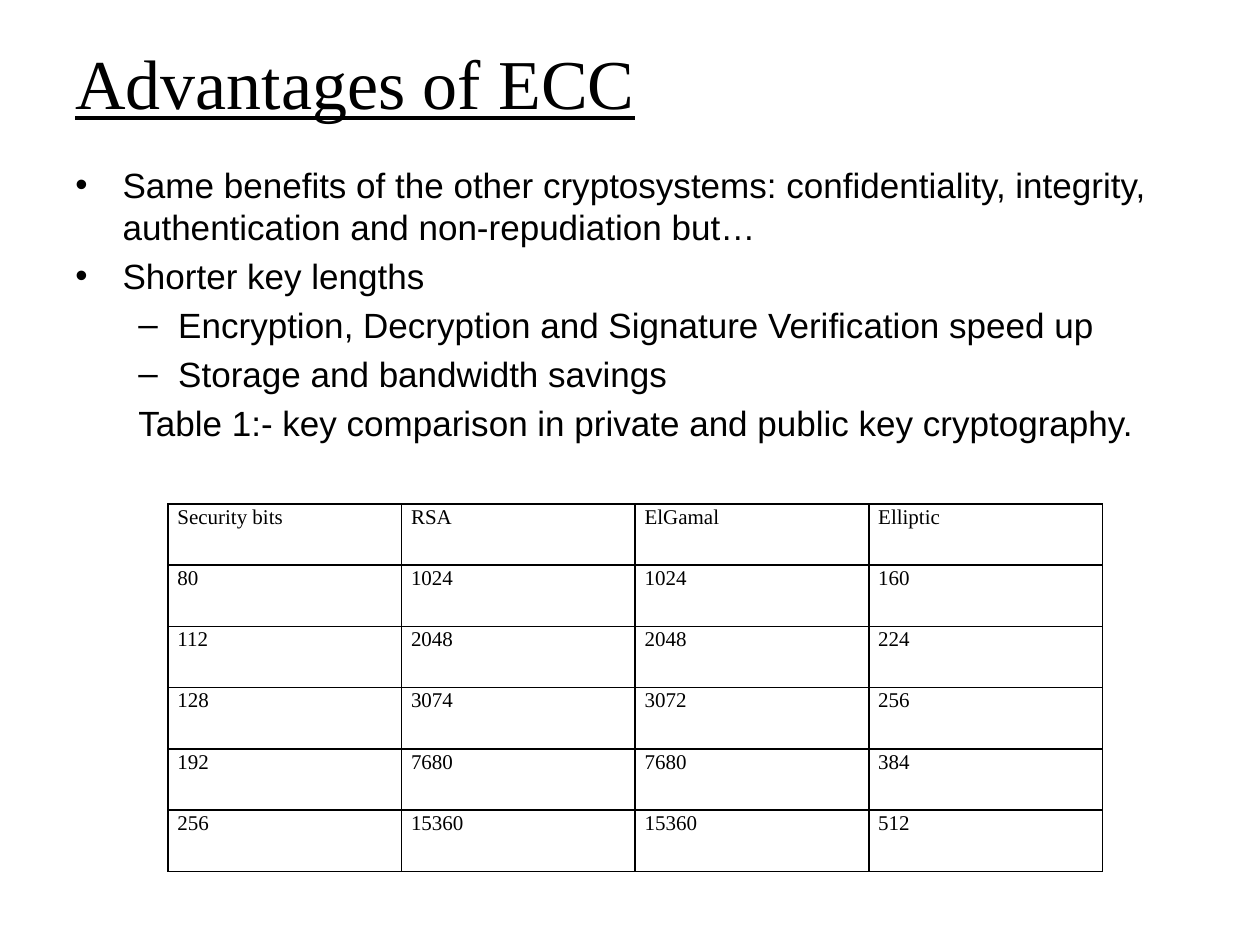
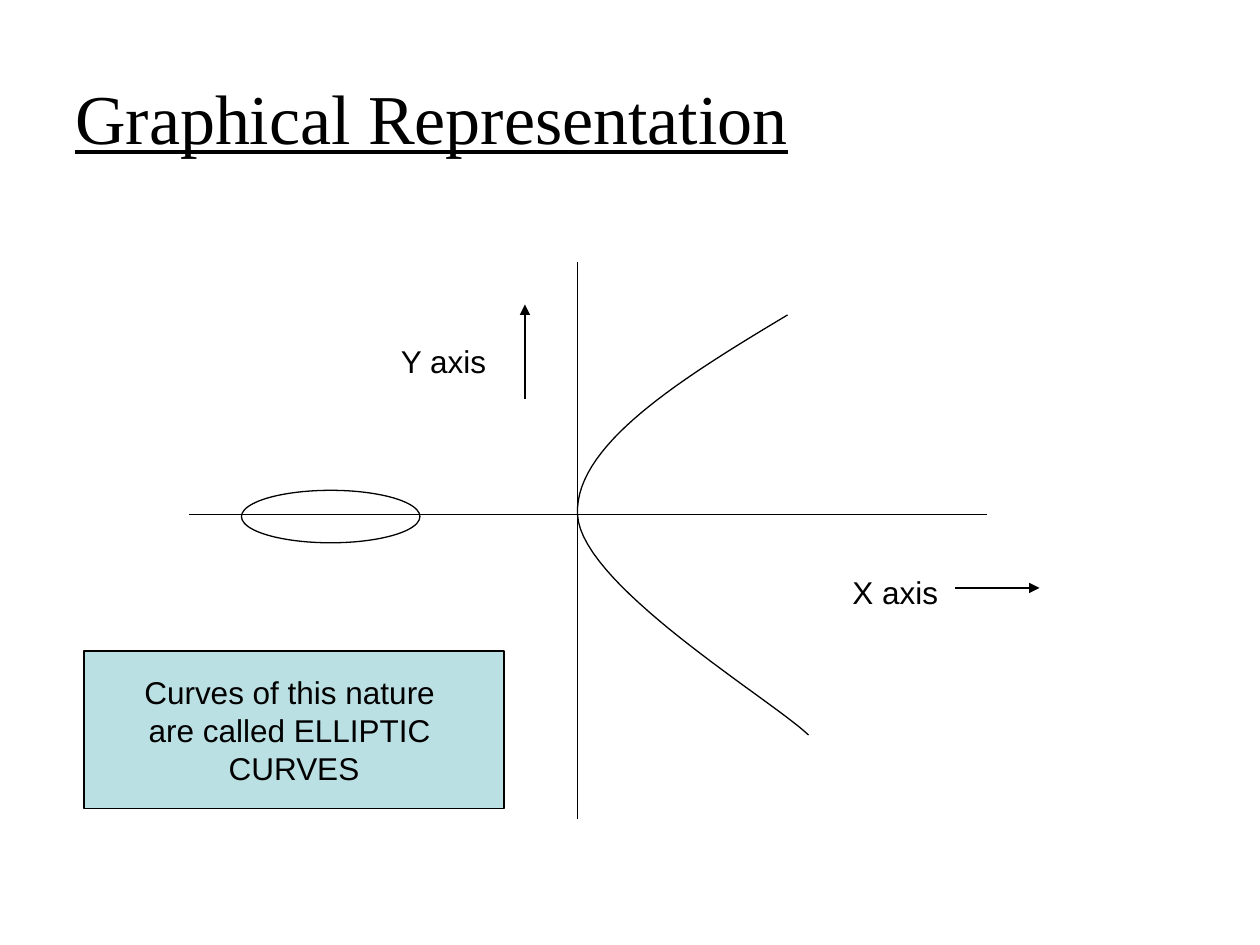
import pptx
import pptx.dml.color
import pptx.enum.shapes
import pptx.enum.text
import pptx.oxml
import pptx.oxml.ns
import pptx.util
from lxml import etree

PX = 7620  # EMU in one px, 120 px to the inch
COLORS = {"ink": "000000", "note": "BBE0E3"}
SERIF, SANS = "Times New Roman", "Arial"
TITLE = {"name": SERIF, "size": pptx.util.Pt(40), "underline": True}
BODY = {"name": SANS, "size": pptx.util.Pt(20)}
LABEL = {"name": SANS, "size": pptx.util.Pt(18)}
CELL = {"name": SERIF, "size": pptx.util.Pt(12)}
SHAPES = pptx.enum.shapes.MSO_SHAPE
MIDDLE = pptx.enum.text.MSO_ANCHOR.MIDDLE
ALIGN = pptx.enum.text.PP_ALIGN

BULLETS = [
    (0, "•", "Same benefits of the other cryptosystems: confidentiality, integrity, "
             "authentication and non-repudiation but…"),
    (0, "•", "Shorter key lengths"),
    (1, "–", "Encryption, Decryption and Signature Verification speed up"),
    (1, "–", "Storage and bandwidth savings"),
    (1, None, "Table 1:- key comparison in private and public key cryptography."),
]
INDENTS = [(45, -45), (98, -38)]  # left margin and first line, by level
KEYS = [
    ["Security bits", "RSA", "ElGamal", "Elliptic"],
    ["80", "1024", "1024", "160"],
    ["112", "2048", "2048", "224"],
    ["128", "3074", "3072", "256"],
    ["192", "7680", "7680", "384"],
    ["256", "15360", "15360", "512"],
]
NOTE = ["Curves of this nature ", "are called ELLIPTIC ", "CURVES"]


def emu(*sizes):
    return [pptx.util.Emu(round(size * PX)) for size in sizes]


def color(name):
    return pptx.dml.color.RGBColor.from_string(COLORS[name])


def add_tag(parent, tag, **attrs):
    return etree.SubElement(parent, pptx.oxml.ns.qn(tag), attrs)


def write(par, text, style):
    run = par.add_run()
    run.text = text
    for key, value in style.items():
        setattr(run.font, key, value)
    run.font.color.rgb = color("ink")


def text_box(slide, box):
    frame = slide.shapes.add_textbox(*emu(*box)).text_frame
    frame.word_wrap = True
    return frame


def add_title(slide, text, box):
    frame = text_box(slide, box)
    frame.vertical_anchor = MIDDLE
    write(frame.paragraphs[0], text, TITLE)


def add_label(slide, text, box):
    write(text_box(slide, box).paragraphs[0], text, LABEL)


def add_list(slide, box):
    frame = text_box(slide, box)
    for i, (level, mark, text) in enumerate(BULLETS):
        par = frame.add_paragraph() if i else frame.paragraphs[0]
        par.level = level
        if i:
            par.space_before = pptx.util.Pt(4)
        write(par, text, BODY)
        props = par._p.get_or_add_pPr()
        for key, size in zip(("marL", "indent"), emu(*INDENTS[level])):
            props.set(key, str(size))
        if mark:
            add_tag(props, "a:buFont", typeface=SANS)
            add_tag(props, "a:buChar", char=mark)
        else:
            add_tag(props, "a:buNone")


def fill_cell(cell, text):
    side, zero = emu(9, 0)
    margins = {"margin_left": side, "margin_right": side,
               "margin_top": zero, "margin_bottom": zero}
    for key, value in margins.items():
        setattr(cell, key, value)
    par = cell.text_frame.paragraphs[0]
    format = {"alignment": ALIGN.JUSTIFY, "line_spacing": 1.07,
              "space_after": pptx.util.Pt(8)}
    for key, value in format.items():
        setattr(par, key, value)
    write(par, text, CELL)
    props = cell._tc.get_or_add_tcPr()
    for edge in "LRTB":
        line = add_tag(props, "a:ln" + edge, w=str(pptx.util.Pt(1)))
        add_tag(add_tag(line, "a:solidFill"), "a:srgbClr", val=COLORS["ink"])
    cell.fill.background()


def add_keys(slide, box):
    """Table of key lengths, with equal rows and columns."""
    rows, cols = len(KEYS), len(KEYS[0])
    table = slide.shapes.add_table(rows, cols, *emu(*box)).table
    table.first_row = table.horz_banding = False
    wide, high = emu(box[2] / cols, box[3] / rows)
    for col in table.columns:
        col.width = wide
    for row, texts in zip(table.rows, KEYS):
        row.height = high
        for cell, text in zip(row.cells, texts):
            fill_cell(cell, text)


def ink_line(shape):
    shape.line.color.rgb = color("ink")
    shape.line.width = pptx.util.Pt(0.75)


def add_line(slide, start, end, arrow=False):
    kind = pptx.enum.shapes.MSO_CONNECTOR.STRAIGHT
    line = slide.shapes.add_connector(kind, *emu(*start, *end))
    ink_line(line)
    if arrow:
        add_tag(line.line._get_or_add_ln(), "a:tailEnd", type="triangle")
    add_tag(line._element.spPr, "a:effectLst")


def bezier(points, steps=30):
    """Points along a cubic curve, without its start."""
    for i in range(1, steps + 1):
        t = i / steps
        parts = ((1 - t) ** 3, 3 * t * (1 - t) ** 2, 3 * t * t * (1 - t), t ** 3)
        yield tuple(emu(*(sum(w * p[axis] for w, p in zip(parts, points))
                          for axis in (0, 1))))


def add_curve(slide, x, y):
    """Open branch that touches the origin at x, y."""
    arms = [[(200, -190), (98, -129), (-3, -66), (0, 0)],
            [(0, 0), (3, 67), (183, 175), (220, 210)]]
    arms = [[(x + dx, y + dy) for dx, dy in arm] for arm in arms]
    path = slide.shapes.build_freeform(*emu(*arms[0][0]))
    for arm in arms:
        path.add_line_segments(list(bezier(arm)), close=False)
    curve = path.convert_to_shape()
    curve.shadow.inherit = False
    curve.fill.background()
    ink_line(curve)


def add_graph(slide, box):
    left, top, wide, high = box
    x, y = left + 370, top + 240
    add_line(slide, (x, top), (x, top + high))
    add_line(slide, (left, y), (left + wide, y))
    oval = slide.shapes.add_shape(SHAPES.OVAL, *emu(left + 50, y - 23, 170, 50))
    oval.shadow.inherit = False
    oval.fill.background()
    ink_line(oval)
    add_curve(slide, x, y)
    add_label(slide, "X axis", (x + 250, y + 50, 190, 48))
    add_label(slide, "Y axis", (x - 180, y - 170, 140, 48))
    add_line(slide, (x + 360, y + 70), (x + 440, y + 70), arrow=True)
    add_line(slide, (x - 50, y - 110), (x - 50, y - 200), arrow=True)


def add_note(slide, box):
    note = slide.shapes.add_shape(SHAPES.RECTANGLE, *emu(*box))
    note.shadow.inherit = False
    note.fill.solid()
    note.fill.fore_color.rgb = color("note")
    ink_line(note)
    frame = note.text_frame
    frame.word_wrap = False
    frame.vertical_anchor = MIDDLE
    for i, text in enumerate(NOTE):
        par = frame.add_paragraph() if i else frame.paragraphs[0]
        par.alignment = ALIGN.CENTER
        write(par, text, LABEL)


def main():
    deck = pptx.Presentation()
    deck.slide_width, deck.slide_height = emu(1200, 900)
    blank = deck.slide_layouts[6]

    slide = deck.slides.add_slide(blank)
    add_title(slide, "Advantages of ECC", (60, 36, 1080, 84))
    add_list(slide, (60, 150, 1080, 290))
    add_keys(slide, (160, 480, 890, 350))

    slide = deck.slides.add_slide(blank)
    add_title(slide, "Graphical Representation", (60, 36, 1080, 150))
    add_graph(slide, (180, 250, 760, 530))
    add_note(slide, (80, 620, 400, 150))

    deck.save("out.pptx")


if __name__ == "__main__":
    main()
